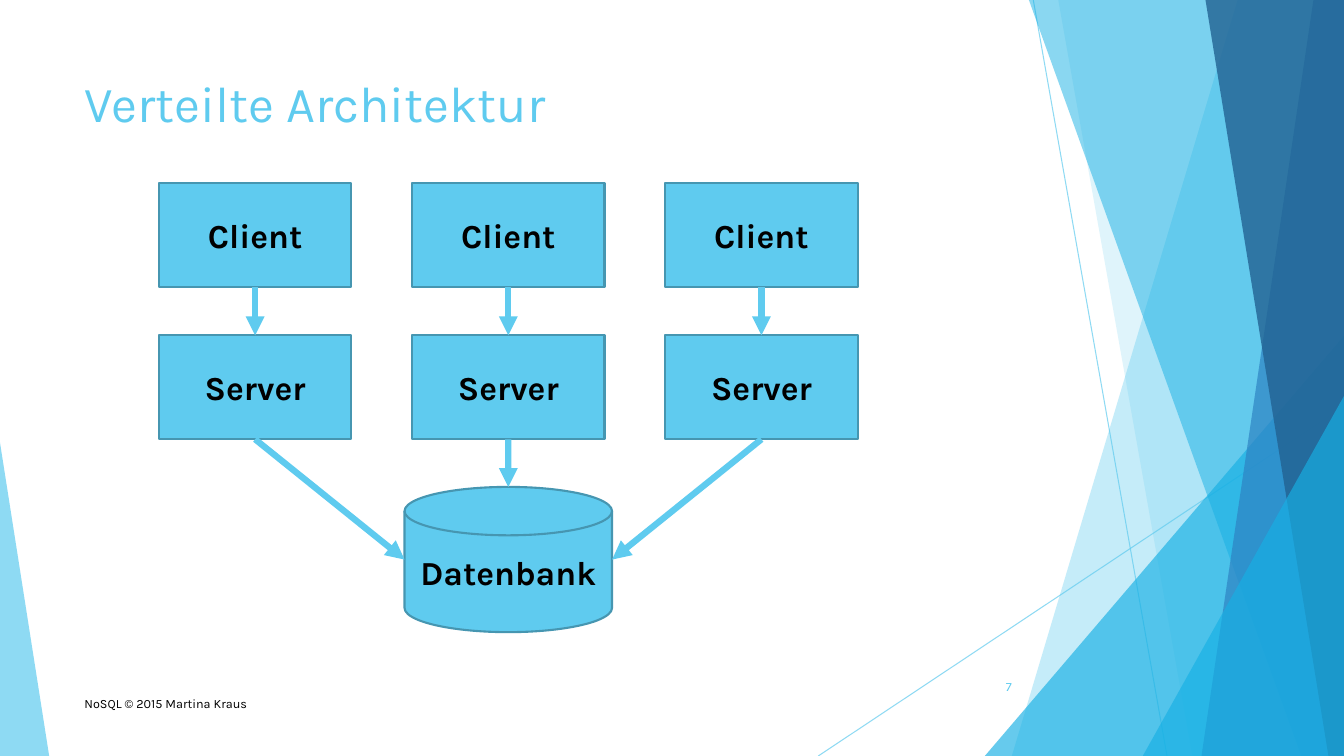
from lxml.etree import SubElement
from pptx import Presentation
from pptx.dml.color import RGBColor
from pptx.enum.shapes import MSO_CONNECTOR, MSO_SHAPE
from pptx.enum.text import MSO_ANCHOR, PP_ALIGN
from pptx.oxml.ns import qn
from pptx.util import Cm, Pt

SKY = RGBColor(0x5F, 0xCB, 0xEF)
CYAN = RGBColor(0x17, 0xB0, 0xE4)
BLUE = RGBColor(0x2E, 0x83, 0xC3)
NAVY = RGBColor(0x22, 0x62, 0x92)
EDGE = RGBColor(0x46, 0x96, 0xB1)
BLACK = RGBColor(0, 0, 0)

WIDTH, HEIGHT = 33.87, 19.05


def apply(target, **values):
    for name, value in values.items():
        setattr(target, name, value)


def set_opacity(properties, percent):
    """Add an alpha value to the solid fill inside the given element."""
    color = properties.find(qn("a:solidFill"))[0]
    SubElement(color, qn("a:alpha"), val=str(percent * 1000))


class SlideBuilder:
    font = "Karla"

    def __init__(self, page):
        self.page = page
        self.shapes = page.shapes

    def put_text(self, box, text, size, color, bold=False,
                 align=PP_ALIGN.LEFT, anchor=MSO_ANCHOR.TOP):
        frame = box.text_frame
        apply(frame, word_wrap=True, vertical_anchor=anchor)
        para = frame.paragraphs[0]
        para.alignment = align
        span = para.add_run()
        span.text = text
        apply(span.font, name=self.font, size=Pt(size), bold=bold)
        span.font.color.rgb = color

    def title(self, text, left, top, width, height):
        box = self.shapes.title
        apply(box, left=Cm(left), top=Cm(top), width=Cm(width), height=Cm(height))
        self.put_text(box, text, 36, SKY)

    def label(self, text, left, top, width, height, color, **layout):
        box = self.shapes.add_textbox(Cm(left), Cm(top), Cm(width), Cm(height))
        self.put_text(box, text, 9, color, **layout)

    def paint(self, shape, color, opacity):
        shape.shadow.inherit = False
        shape.fill.solid()
        shape.fill.fore_color.rgb = color
        shape.line.fill.background()
        set_opacity(shape._element.spPr, opacity)

    def band(self, top_x, bottom_x, color, opacity):
        """Fill from a slanted edge to the right side of the slide."""
        outline = self.shapes.build_freeform(Cm(top_x), 0)
        outline.add_line_segments([(Cm(WIDTH), 0), (Cm(WIDTH), Cm(HEIGHT)),
                                   (Cm(bottom_x), Cm(HEIGHT))])
        self.paint(outline.convert_to_shape(), color, opacity)

    def corner(self, left, top, right, apex, color, opacity):
        """Triangle standing on the lower edge of the slide."""
        shape = self.shapes.add_shape(MSO_SHAPE.ISOSCELES_TRIANGLE, Cm(left), Cm(top),
                                      Cm(right - left), Cm(HEIGHT - top))
        shape.adjustments[0] = apex
        self.paint(shape, color, opacity)

    def line(self, start, end, width):
        line = self.shapes.add_connector(MSO_CONNECTOR.STRAIGHT, *start, *end)
        line.line.width = Pt(width)
        line.line.color.rgb = SKY
        SubElement(line._element.spPr, qn("a:effectLst"))
        return line

    def ray(self, x1, y1, x2, y2):
        ray = self.line((Cm(x1), Cm(y1)), (Cm(x2), Cm(y2)), 0.75)
        set_opacity(ray.line._get_or_add_ln(), 70)

    def node(self, kind, text, center, top, width, height):
        shape = self.shapes.add_shape(kind, Cm(center - width / 2), Cm(top),
                                      Cm(width), Cm(height))
        shape.shadow.inherit = False
        shape.fill.solid()
        shape.fill.fore_color.rgb = SKY
        shape.line.color.rgb = EDGE
        shape.line.width = Pt(1.5)
        self.put_text(shape, text, 24, BLACK, bold=True,
                      align=PP_ALIGN.CENTER, anchor=MSO_ANCHOR.MIDDLE)
        return shape

    def arrow(self, source, end):
        """Arrow from the lower middle of a box to a point."""
        start = (source.left + source.width // 2, source.top + source.height)
        arrow = self.line(start, end, 4.5)
        arrow.begin_connect(source, 2)
        SubElement(arrow.line._get_or_add_ln(), qn("a:tailEnd"), type="triangle")
        return arrow


deck = Presentation()
apply(deck, slide_width=Cm(WIDTH), slide_height=Cm(HEIGHT))
slide = SlideBuilder(deck.slides.add_slide(deck.slide_layouts[5]))

# Background facets
slide.ray(26.04, 0, 29.41, HEIGHT)
slide.ray(WIDTH, 10.24, 20.62, HEIGHT)
slide.band(31.19, 25.5, SKY, 36)
slide.band(26.67, 30.05, SKY, 20)
slide.corner(24.82, 8.46, WIDTH, 1, CYAN, 66)
slide.band(25.93, 32.79, CYAN, 50)
slide.band(33.1, 30.28, BLUE, 70)
slide.band(30.38, 33.48, NAVY, 80)
slide.corner(28.8, 9.98, WIDTH, 1, CYAN, 66)
slide.corner(0, 11.15, 1.24, 0, SKY, 70)

# Title, page number and footer
slide.title("Verteilte Architektur", 1.88, 1.7, 23.88, 3.66)
slide.label("7", 23.85, 16.79, 1.9, 1.02, SKY,
            align=PP_ALIGN.RIGHT, anchor=MSO_ANCHOR.MIDDLE)
slide.label("NoSQL © 2015 Martina Kraus", 1.88, 17.42, 17.5, 1.02, BLACK)

# Database and the points where arrows reach it
MIDDLE, STEP = 12.81, 6.38
database = slide.node(MSO_SHAPE.FLOWCHART_MAGNETIC_DISK, "Datenbank",
                      MIDDLE, 12.27, 5.23, 3.66)
half_height = database.top + database.height // 2
entries = [(database.left, half_height),
           (Cm(MIDDLE), database.top),
           (database.left + database.width, half_height)]

# Client and server columns
for column, entry in enumerate(entries):
    center = MIDDLE + (column - 1) * STEP
    client, server = (slide.node(MSO_SHAPE.RECTANGLE, text, center, top, 4.85, 2.62)
                      for text, top in (("Client", 4.62), ("Server", 8.45)))
    slide.arrow(client, (Cm(center), server.top)).end_connect(server, 0)
    slide.arrow(server, entry)

deck.save("out.pptx")
